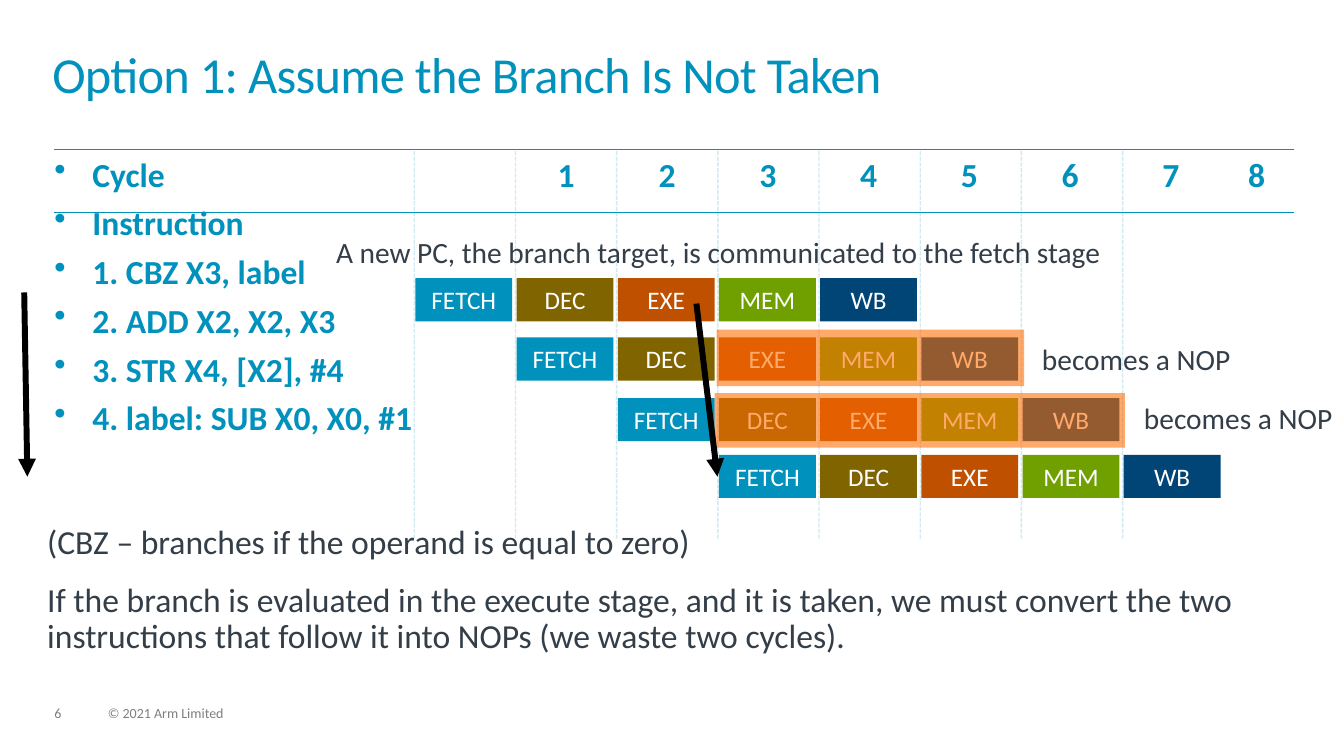
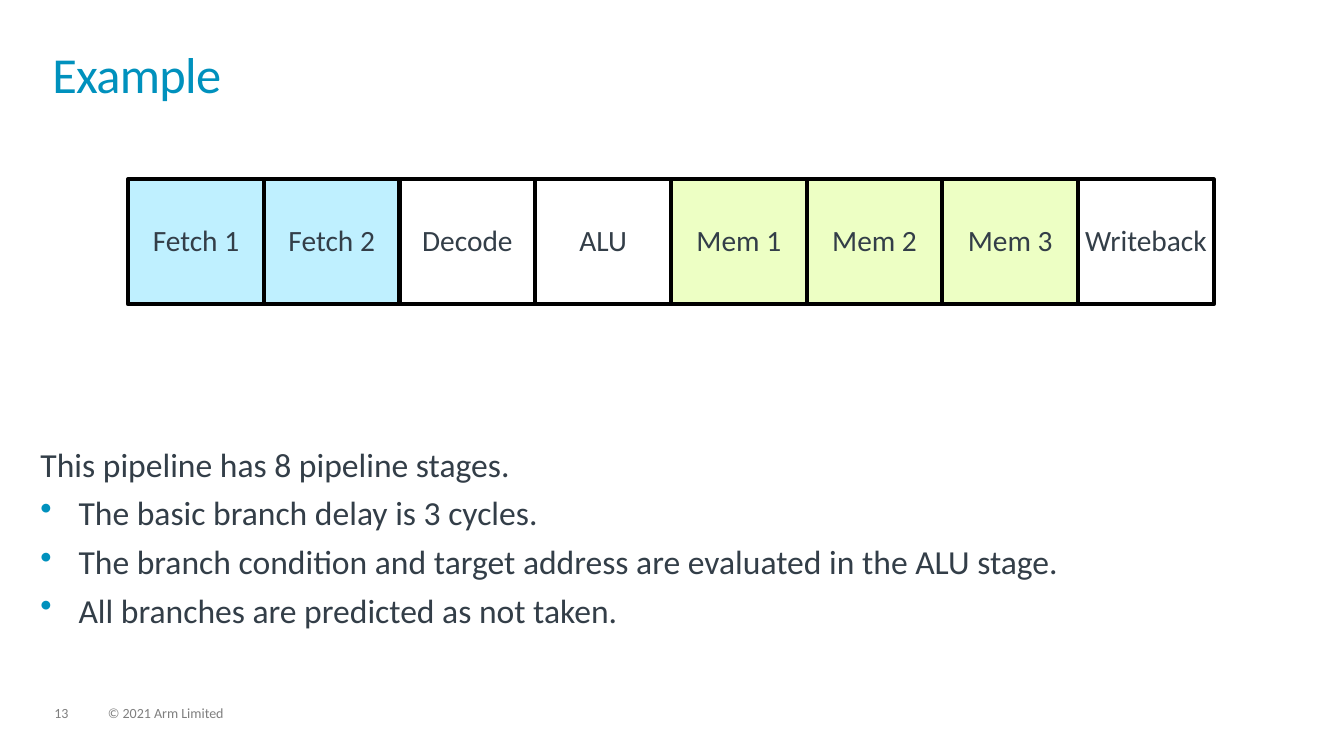
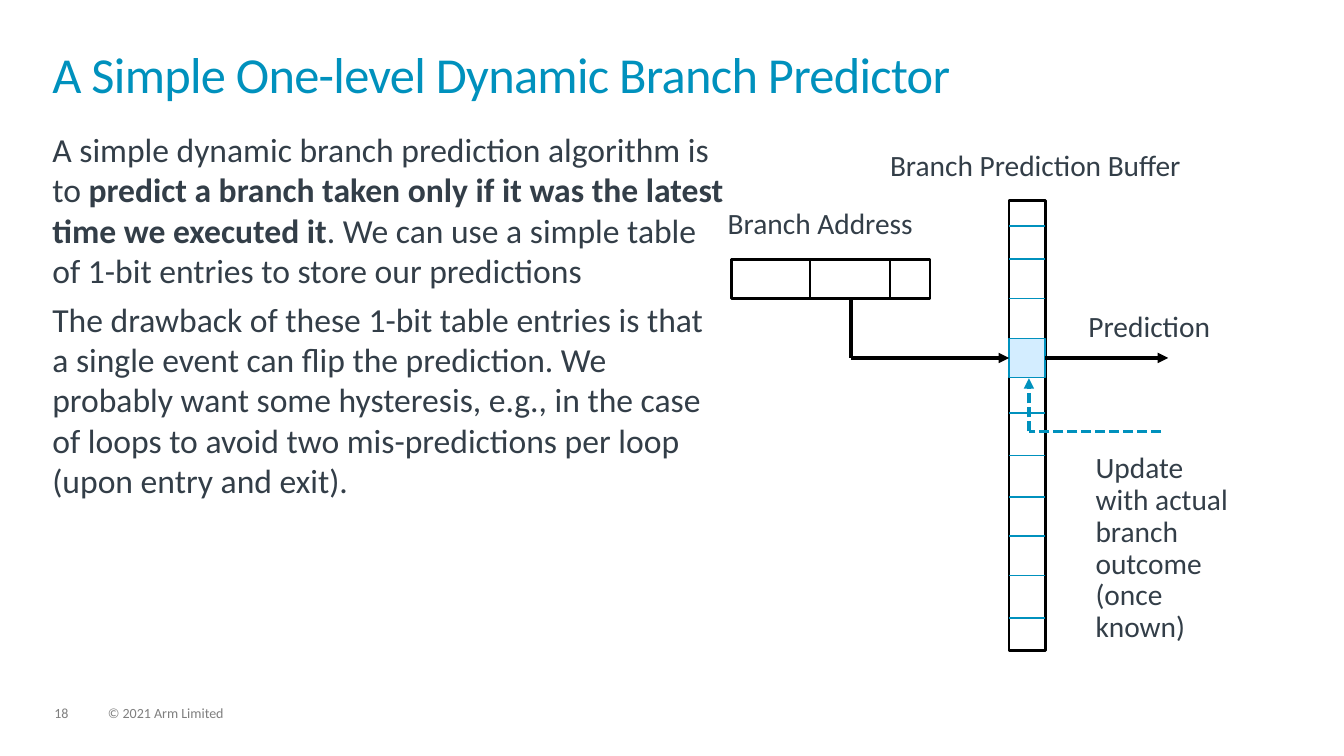
from dataclasses import dataclass

from lxml import etree
from pptx import Presentation
from pptx import util as u
from pptx.dml.color import RGBColor
from pptx.enum import dml, shapes, text
from pptx.oxml.ns import qn


@dataclass(frozen=True)
class Theme:
    font: str = "Calibri"
    blue: str = "0091BD"
    ink: str = "333E48"
    grey: str = "7F7F7F"
    black: str = "000000"
    white: str = "FFFFFF"
    olive: str = "806400"
    rust: str = "BF5000"
    green: str = "70A000"
    navy: str = "004575"
    orange: str = "FF6B00"
    pale_blue: str = "BFF0FF"
    pale_green: str = "EDFFC4"
    entry: str = "D3EDFF"
    title: int = 36
    body: int = 24
    label: int = 21
    stage: int = 18
    footer: int = 10


theme = Theme()
LEFT, CENTER = text.PP_ALIGN.LEFT, text.PP_ALIGN.CENTER


def write(page, content, left, top, width, height, *, size=theme.body, color=theme.ink,
          bold=False, align=LEFT, middle=False, leading=None, before=0, after=0,
          tracking=None, bullets_from=None, fill=None, alpha=None, outline=None, weight=1):
    area = [u.Cm(value) for value in (left, top, width, height)]
    if fill or outline:
        box = page.shapes.add_shape(shapes.MSO_SHAPE.RECTANGLE, *area)
        box.shadow.inherit = False
        if fill:
            box.fill.solid()
            box.fill.fore_color.rgb = RGBColor.from_string(fill)
            if alpha:
                tint = box._element.spPr.find(".//" + qn("a:srgbClr"))
                etree.SubElement(tint, qn("a:alpha"), val=str(alpha * 1000))
        else:
            box.fill.background()
        if outline:
            box.line.color.rgb = RGBColor.from_string(outline)
            box.line.width = u.Pt(weight)
        else:
            box.line.fill.background()
    else:
        box = page.shapes.add_textbox(*area)
    if not content:
        return
    frame = box.text_frame
    frame.word_wrap = True
    frame.margin_left = frame.margin_right = frame.margin_top = frame.margin_bottom = 0
    frame.vertical_anchor = text.MSO_ANCHOR.MIDDLE if middle else text.MSO_ANCHOR.TOP
    lines = [content] if isinstance(content, str) else content
    for index, line in enumerate(lines):
        para = frame.paragraphs[0] if index == 0 else frame.add_paragraph()
        if bullets_from is not None and index >= bullets_from:
            props = para._p.get_or_add_pPr()
            props.set("marL", str(u.Cm(0.96)))
            props.set("indent", str(u.Cm(-0.96)))
            bullet_color = etree.SubElement(props, qn("a:buClr"))
            etree.SubElement(bullet_color, qn("a:srgbClr"), val=theme.blue)
            etree.SubElement(props, qn("a:buChar"), char="•")
        para.alignment = align
        para.space_before = u.Pt(before if index else 0)
        para.space_after = u.Pt(after)
        if leading:
            para.line_spacing = leading
        for part, words in enumerate(line.split("**")):
            span = para.add_run()
            span.text = words
            span.font.name = theme.font
            span.font.size = u.Pt(size)
            span.font.bold = bold or part % 2 == 1
            span.font.color.rgb = RGBColor.from_string(color)
            if tracking:
                span._r.get_or_add_rPr().set("spc", str(tracking))


def stroke(page, start, end, *, color=theme.black, weight=1, dashed=False, alpha=None, arrow=False):
    line = page.shapes.add_connector(
        shapes.MSO_CONNECTOR.STRAIGHT, *[u.Cm(value) for value in (*start, *end)])
    line.line.color.rgb = RGBColor.from_string(color)
    line.line.width = u.Pt(weight)
    props = line._element.spPr
    if alpha:
        etree.SubElement(props.find(".//" + qn("a:srgbClr")), qn("a:alpha"), val=str(alpha * 1000))
    if dashed:
        line.line.dash_style = dml.MSO_LINE.SQUARE_DOT
    if arrow:
        etree.SubElement(props.find(qn("a:ln")), qn("a:tailEnd"), type="triangle")
    etree.SubElement(props, qn("a:effectLst"))


deck = Presentation()
deck.slide_width, deck.slide_height = u.Cm(33.87), u.Cm(19.05)

pages = []
for number, title in [
    (6, "Option 1: Assume the Branch Is Not Taken"),
    (13, "Example"),
    (18, "A Simple One-level Dynamic Branch Predictor"),
]:
    page = deck.slides.add_slide(deck.slide_layouts[6])
    for words, left, width in [(str(number), 1.37, 0.86), ("© 2021 Arm Limited", 2.72, 12.88)]:
        write(page, words, left, 17.81, width, 0.38, size=theme.footer, color=theme.grey,
              leading=0.9, after=6)
    write(page, title, 1.32, 1.32, 31.19, 1.83, size=theme.title, color=theme.blue,
          leading=0.85, tracking=-50)
    pages.append(page)
timing, example, predictor = pages

label = dict(size=theme.label, leading=0.9, after=6)

write(timing, ["Cycle", "Instruction", "1. CBZ X3, label", "2. ADD X2, X2, X3",
               "3. STR X4, [X2], #4", "4. label: SUB X0, X0, #1"],
      1.37, 3.87, 31.06, 10.13, color=theme.blue, bold=True, before=6, bullets_from=0)
cycle_centers = [14.27 + 2.54 * index for index in range(7)] + [31.67]
for cycle, center in enumerate(cycle_centers, 1):
    write(timing, str(cycle), center - 0.5, 3.87, 1, 1, color=theme.blue, bold=True, align=CENTER)
for rule_top in (3.76, 5.36):
    stroke(timing, (1.37, rule_top), (32.61, rule_top), color=theme.blue)

first_column, column_step = 10.47, 2.55
for column in range(8):
    x = first_column - 0.03 + column * column_step
    stroke(timing, (x, 3.81), (x, 13.61), color=theme.blue, dashed=True, alpha=18)

stages = [("FETCH", theme.blue), ("DEC", theme.olive), ("EXE", theme.rust),
          ("MEM", theme.green), ("WB", theme.navy)]
for row, row_top in enumerate((7.01, 8.5, 10.03, 11.46)):
    for offset, (stage, fill) in enumerate(stages):
        write(timing, stage, first_column + (row + offset) * column_step, row_top, 2.44, 1.09,
              size=theme.stage, color=theme.white, align=CENTER, middle=True, fill=fill)

for left, top, width, height in [(18.06, 8.31, 7.75, 1.42), (18.01, 9.91, 10.34, 1.37)]:
    write(timing, "", left, top, width, height, fill=theme.orange, alpha=58)
for start, end in [((17.55, 7.65), (18.08, 12.01)), ((0.61, 7.37), (0.69, 12.01))]:
    stroke(timing, start, end, weight=4.25, arrow=True)
write(timing, "A new PC, the branch target, is communicated to the fetch stage",
      7.57, 5.99, 21.06, 0.81, align=CENTER, **label)
for left, top in [(26.26, 8.69), (28.83, 10.19)]:
    write(timing, "becomes a NOP", left, top, 5, 0.81, **label)
write(timing, ["(CBZ – branches if the operand is equal to zero)",
               "If the branch is evaluated in the execute stage, and it is taken, we must convert "
               "the two instructions that follow it into NOPs (we waste two cycles)."],
      1.19, 13.23, 31.06, 3.66, leading=0.9, after=16)

pipeline = [("Fetch 1", theme.pale_blue), ("Fetch 2", theme.pale_blue), ("Decode", None),
            ("ALU", None), ("Mem 1", theme.pale_green), ("Mem 2", theme.pale_green),
            ("Mem 3", theme.pale_green), ("Writeback", None)]
for index, (stage, fill) in enumerate(pipeline):
    write(example, stage, 3.23 + 3.42 * index, 4.52, 3.42, 3.15, size=theme.label, leading=0.9,
          align=CENTER, middle=True, fill=fill, outline=theme.black, weight=3)
write(example, ["This pipeline has 8 pipeline stages.",
                "The basic branch delay is 3 cycles.",
                "The branch condition and target address are evaluated in the ALU stage.",
                "All branches are predicted as not taken."],
      1.02, 11.18, 31.52, 5.82, before=6, bullets_from=1)

write(predictor, ["A simple dynamic branch prediction algorithm is to **predict a branch taken only "
                  "if it was the latest time we executed it**. We can use a simple table of 1-bit "
                  "entries to store our predictions",
                  "The drawback of these 1-bit table entries is that a single event can flip the "
                  "prediction. We probably want some hysteresis, e.g., in the case of loops to "
                  "avoid two mis-predictions per loop (upon entry and exit)."],
      1.32, 3.25, 16.97, 13.74, before=6)

buffer_left, buffer_width = 25.43, 0.91
buffer_right = buffer_left + buffer_width
write(predictor, "", buffer_left, 5.05, buffer_width, 11.35, outline=theme.black, weight=2)
write(predictor, "", buffer_left, 8.53, buffer_width, 0.99, fill=theme.entry, outline=theme.blue)
for y in (5.69, 6.53, 7.52, 10.41, 11.48, 12.52, 13.51, 14.5, 15.57):
    stroke(predictor, (buffer_left, y), (buffer_right, y), color=theme.blue)
for left, width, weight in [(18.44, 5, 2), (20.42, 2.01, 1.25)]:
    write(predictor, "", left, 6.53, width, 0.99, outline=theme.black, weight=weight)

for start, end, arrow in [((21.44, 7.52), (21.44, 9.02), False),
                          ((21.44, 9.02), (buffer_left, 9.02), True),
                          ((buffer_right, 9.02), (29.44, 9.02), True)]:
    stroke(predictor, start, end, weight=2.5, arrow=arrow)
for start, end, arrow in [((29.26, 10.87), (25.93, 10.87), False),
                          ((25.93, 10.87), (25.93, 9.53), True)]:
    stroke(predictor, start, end, color=theme.blue, weight=2.5, dashed=True, arrow=arrow)

for words, left, top, width, height in [
    ("Branch Address", 18.34, 5.28, 5, 0.81),
    ("Branch Prediction Buffer", 22.43, 3.81, 8, 0.81),
    ("Prediction", 27.43, 7.87, 3.99, 0.81),
    ("Update with actual branch outcome (once known)", 27.61, 11.43, 3.48, 4.85),
]:
    write(predictor, words, left, top, width, height, **label)

deck.save("out.pptx")
